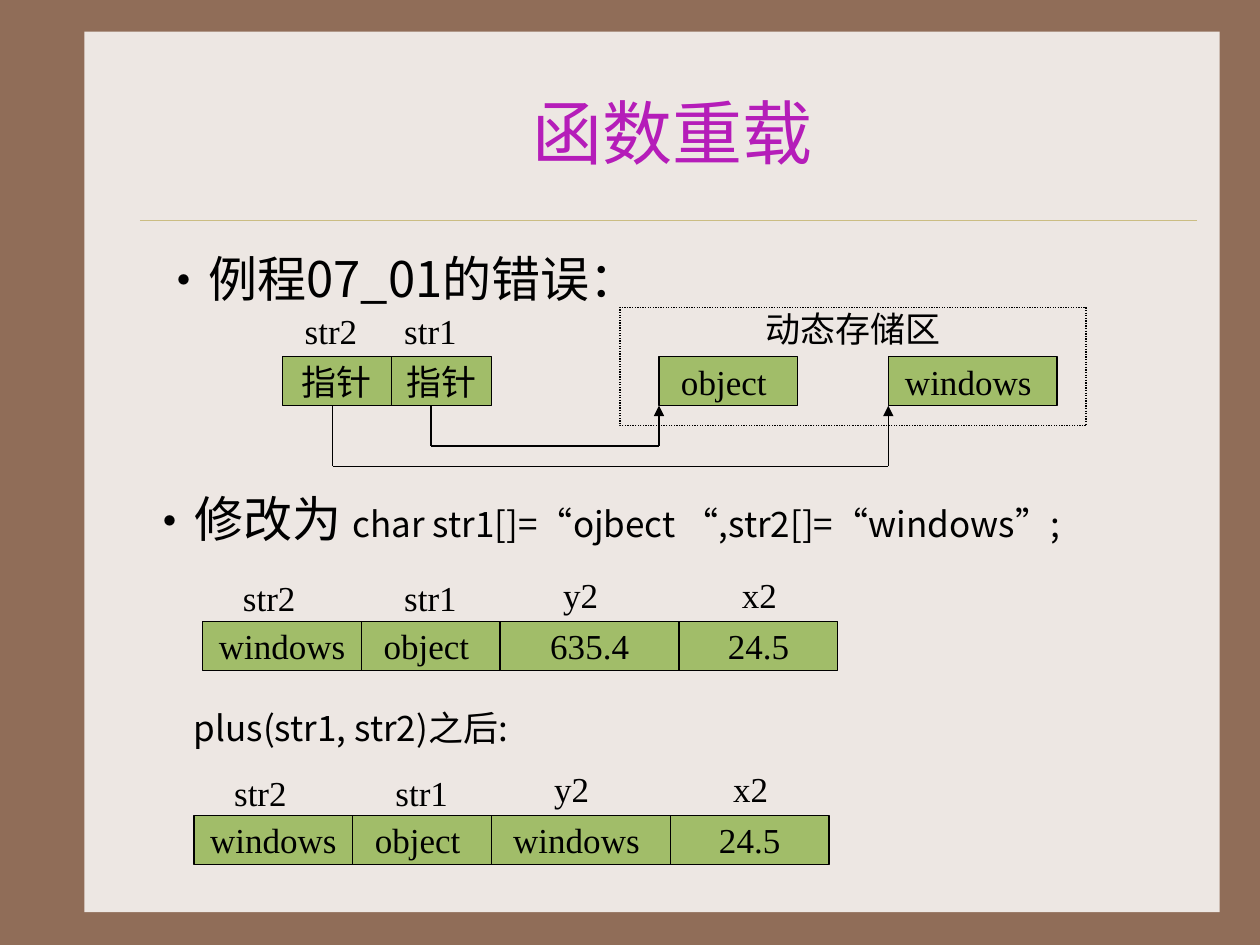
from itertools import accumulate, pairwise

from lxml import etree
from pptx import Presentation
from pptx import util as u
from pptx.dml.color import RGBColor
from pptx.enum import dml, shapes, text
from pptx.oxml.ns import qn

SERIF, SANS = "Times New Roman", "Noto Sans CJK SC"
BLACK, GREEN, PURPLE = "000000", "A1BD69", "B51DB9"
CELL_HEIGHT = 0.39

# Content: text boxes as (left, top, width, height), bullet, runs (text, size, font)
TITLE = "函数重载"
BODY_LINES = [
    ((1.17, 1.92, 8.33, 0.65), True, [("例程07_01的错误：", 28, SANS)]),
    ((1.06, 3.83, 8.33, 0.65), True, [
        ("修改为 ", 28, SANS), ("char str1[]=", 20, SANS), ("“", 20, SERIF),
        ("ojbect ", 20, SANS), ("“", 20, SERIF), (",str2[]=", 20, SANS),
        ("“", 20, SERIF), ("windows", 20, SANS), ("”", 20, SERIF), (";", 20, SANS)]),
    ((1.06, 5.56, 6.85, 0.65), False, [("plus(str1, str2)之后:", 20, SANS)]),
]

# Pointer diagram: cells as (text, left, width), arrows as (from x, to x, lowest y)
POINTER_TOP = 2.83
POINTER_CELLS = [("指针", 3.11, 0.79), ("指针", 2.24, 0.87),
                 ("object ", 5.23, 1.1), ("windows ", 7.05, 1.34)]
POINTER_LABELS = [("str1", 3.11), ("str2", 2.32)]
ARROWS = [(3.42, 5.23, 3.54), (2.64, 7.05, 3.7)]
HEAP_NAME, HEAP_BOX = "动态存储区", (4.92, 2.44, 3.7, 0.94)

# Memory rows: variables as (name, label offset, label rise, cell width)
VARIABLES = [("str2", 0.22, 0.4, 1.26), ("str1", 1.5, 0.4, 1.1),
             ("y2", 2.76, 0.43, 1.42), ("x2", 4.18, 0.43, 1.26)]
MEMORY_ROWS = [
    (1.61, 4.93, ["windows", "object ", "635.4", "24.5"]),
    (1.54, 6.47, ["windows", "object ", "windows ", "24.5"]),
]


def color(hex_string):
    return RGBColor.from_string(hex_string)


def inches(values):
    return [u.Inches(value) for value in values]


def write(shape, runs, align=None, anchor=None, wrap=False, ink=BLACK):
    frame = shape.text_frame
    frame.word_wrap = wrap
    if anchor is not None:
        frame.vertical_anchor = anchor
    paragraph = frame.paragraphs[0]
    paragraph.alignment = align
    for content, size, font_name in runs:
        run = paragraph.add_run()
        run.text = content
        run.font.size = u.Pt(size)
        run.font.name = font_name
        run.font.color.rgb = color(ink)
        etree.SubElement(run.font._element, qn("a:ea"), typeface=SANS)
    return paragraph


def add_text(slide, box, runs, **options):
    return write(slide.shapes.add_textbox(*inches(box)), runs, **options)


def add_rect(slide, box, fill=None, line=BLACK):
    shape = slide.shapes.add_shape(shapes.MSO_SHAPE.RECTANGLE, *inches(box))
    shape.shadow.inherit = False
    if fill:
        shape.fill.solid()
        shape.fill.fore_color.rgb = color(fill)
    else:
        shape.fill.background()
    if line:
        shape.line.color.rgb = color(line)
        shape.line.width = u.Pt(0.75)
    else:
        shape.line.fill.background()
    return shape


def add_cell(slide, content, left, top, width):
    shape = add_rect(slide, (left, top, width, CELL_HEIGHT), GREEN)
    write(shape, [(content, 20, SERIF)], text.PP_ALIGN.CENTER, text.MSO_ANCHOR.MIDDLE)


def add_label(slide, content, left, top):
    width = 0.61 if len(content) > 2 else 0.48
    label = slide.shapes.add_textbox(*inches((left, top, width, 0.44)))
    label.text_frame.margin_right = 0
    write(label, [(content, 20, SERIF)], text.PP_ALIGN.LEFT, wrap=True)


def add_line(slide, start, end, ink=BLACK, width=0.75, arrow=False):
    line = slide.shapes.add_connector(shapes.MSO_CONNECTOR.STRAIGHT, *inches(start + end))
    line.line.color.rgb = color(ink)
    line.line.width = u.Pt(width)
    if arrow:
        etree.SubElement(line.line._get_or_add_ln(), qn("a:tailEnd"), type="triangle")
    etree.SubElement(line._element.spPr, qn("a:effectLst"))


def indent(paragraph, bullet):
    properties = paragraph._p.get_or_add_pPr()
    properties.set("marL", str(u.Inches(0.38)))
    if bullet:
        properties.set("indent", str(u.Inches(-0.38)))
        ink = etree.SubElement(properties, qn("a:buClr"))
        etree.SubElement(ink, qn("a:srgbClr"), val=BLACK)
        etree.SubElement(properties, qn("a:buFont"), typeface=SANS)
        etree.SubElement(properties, qn("a:buChar"), char="•")


def draw_pointers(slide):
    for content, left, width in POINTER_CELLS[:2]:
        add_cell(slide, content, left, POINTER_TOP, width)
    heap = add_rect(slide, HEAP_BOX)
    heap.line.dash_style = dml.MSO_LINE.ROUND_DOT
    # The large bottom margin lifts the centred name to the top edge
    heap.text_frame.margin_top, heap.text_frame.margin_bottom = inches((0, 0.6))
    write(heap, [(HEAP_NAME, 20, SERIF)], text.PP_ALIGN.CENTER, text.MSO_ANCHOR.MIDDLE)
    for content, left, width in POINTER_CELLS[2:]:
        add_cell(slide, content, left, POINTER_TOP, width)
    bottom = POINTER_TOP + CELL_HEIGHT
    for start, end, low in ARROWS:
        points = [(start, bottom), (start, low), (end, low), (end, bottom)]
        for number, (first, second) in enumerate(pairwise(points)):
            add_line(slide, first, second, arrow=number == 2)
    for name, left in POINTER_LABELS:
        add_label(slide, name, left, 2.41)


def draw_memory_row(slide, left, top, values):
    offsets = accumulate((variable[3] for variable in VARIABLES), initial=0)
    for (name, label_offset, rise, width), value, offset in zip(VARIABLES, values, offsets):
        add_cell(slide, value, left + offset, top, width)
        add_label(slide, name, left + label_offset, top - rise)


def main():
    presentation = Presentation()
    presentation.slide_width, presentation.slide_height = inches((10, 7.5))
    slide = presentation.slides.add_slide(presentation.slide_layouts[6])

    # Backdrop and title
    slide.background.fill.solid()
    slide.background.fill.fore_color.rgb = color("906D58")
    add_rect(slide, (0.67, 0.25, 9.01, 6.99), "EDE7E3", line=None)
    add_line(slide, (1.11, 1.75), (9.5, 1.75), "CBBD83", 0.25)
    add_text(slide, (1.17, 0.42, 8.33, 1.25), [(TITLE, 40, SERIF)], wrap=True, ink=PURPLE,
             align=text.PP_ALIGN.CENTER, anchor=text.MSO_ANCHOR.MIDDLE)

    # Body lines and diagrams
    for box, bullet, runs in BODY_LINES:
        indent(add_text(slide, box, runs, wrap=True), bullet)
    draw_pointers(slide)
    for left, top, values in MEMORY_ROWS:
        draw_memory_row(slide, left, top, values)

    presentation.save("out.pptx")


if __name__ == "__main__":
    main()
